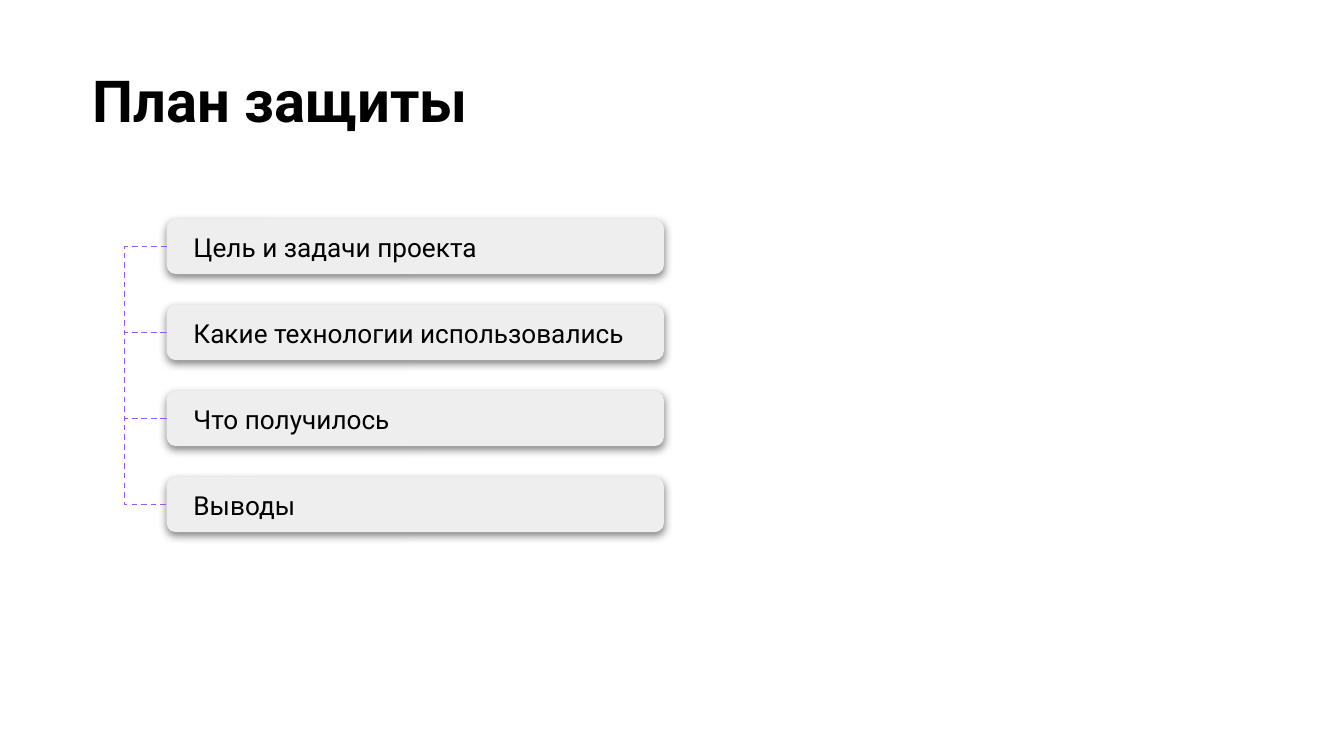
from itertools import pairwise

from lxml.etree import SubElement
from pptx import Presentation
from pptx.dml.color import RGBColor
from pptx.enum.dml import MSO_LINE
from pptx.enum.shapes import MSO_CONNECTOR, MSO_SHAPE
from pptx.enum.text import MSO_ANCHOR, MSO_AUTO_SIZE, PP_ALIGN
from pptx.oxml.ns import qn
from pptx.util import Emu, Inches, Pt

# Content
TITLE = "План защиты"
STEPS = [
    "Цель и задачи проекта",
    "Какие технологии использовались",
    "Что получилось",
    "Выводы",
]

# Layout in inches
SLIDE_WIDTH = 10
SLIDE_HEIGHT = SLIDE_WIDTH * 9 / 16
CARD_LEFT, CARD_TOP, CARD_WIDTH, CARD_HEIGHT = 1.24, 1.63, 3.7, 0.41
CARD_STEP = 0.64
BRACKET_DEPTH = 0.26
BRACKET_WIDTH = Emu(600)  # a bend needs a width above zero to scale from

TITLE_FORMAT = {"name": "Roboto", "size": Pt(31), "bold": True}
STEP_FORMAT = {"name": "Roboto", "size": Pt(14), "bold": False}


def color(value):
    return RGBColor.from_string(value)


def write(frame, text, font_format, side_inset):
    frame.word_wrap = True
    frame.margin_left = frame.margin_right = Inches(side_inset)
    frame.margin_top = frame.margin_bottom = Inches(0.1)
    paragraph = frame.paragraphs[0]
    paragraph.alignment = PP_ALIGN.LEFT
    run = paragraph.add_run()
    run.text = text
    for key, value in font_format.items():
        setattr(run.font, key, value)
    run.font.color.rgb = color("000000")


def add_soft_shadow(card):
    card.shadow.inherit = False
    effects = card._element.spPr.find(qn("a:effectLst"))
    shadow = SubElement(effects, qn("a:outerShdw"), blurRad=str(Pt(4.5)),
                        dist=str(Pt(1.5)), dir="5400000", algn="bl", rotWithShape="0")
    black = SubElement(shadow, qn("a:srgbClr"), val="000000")
    SubElement(black, qn("a:alpha"), val="50000")


def add_card(slide, index, text):
    card = slide.shapes.add_shape(
        MSO_SHAPE.ROUNDED_RECTANGLE, Inches(CARD_LEFT),
        Inches(CARD_TOP + index * CARD_STEP), Inches(CARD_WIDTH), Inches(CARD_HEIGHT))
    card.fill.solid()
    card.fill.fore_color.rgb = color("EEEEEE")
    card.line.fill.background()
    add_soft_shadow(card)
    write(card.text_frame, text, STEP_FORMAT, 0.18)
    card.text_frame.vertical_anchor = MSO_ANCHOR.MIDDLE
    return card


def add_bracket(slide, upper, lower):
    # Start unflipped, so that joining the ends keeps the direction
    bracket = slide.shapes.add_connector(
        MSO_CONNECTOR.ELBOW, upper.left, upper.top + upper.height // 2,
        lower.left + BRACKET_WIDTH, lower.top + lower.height // 2)
    bracket.begin_connect(upper, 1)
    bracket.end_connect(lower, 1)
    bracket.width = BRACKET_WIDTH
    bracket.line.color.rgb = color("9857F3")
    bracket.line.width = Pt(0.75)
    bracket.line.dash_style = MSO_LINE.DASH
    properties = bracket._element.spPr
    SubElement(properties, qn("a:effectLst"))
    # Push the bend out to the left of the cards
    bend = -round(Inches(BRACKET_DEPTH) / BRACKET_WIDTH * 100000)
    guides = properties.find(qn("a:prstGeom")).find(qn("a:avLst"))
    SubElement(guides, qn("a:gd"), name="adj1", fmla=f"val {bend}")


def main():
    deck = Presentation()
    deck.slide_width, deck.slide_height = Inches(SLIDE_WIDTH), Inches(SLIDE_HEIGHT)
    slide = deck.slides.add_slide(deck.slide_layouts[6])

    # Title
    heading = slide.shapes.add_textbox(Inches(0.59), Inches(0.38), Inches(9.32), Inches(0.72))
    write(heading.text_frame, TITLE, TITLE_FORMAT, 0.1)
    heading.text_frame.auto_size = MSO_AUTO_SIZE.SHAPE_TO_FIT_TEXT

    # Steps and the brackets between neighbours
    cards = [add_card(slide, index, text) for index, text in enumerate(STEPS)]
    for upper, lower in pairwise(cards):
        add_bracket(slide, upper, lower)

    deck.save("out.pptx")


if __name__ == "__main__":
    main()
